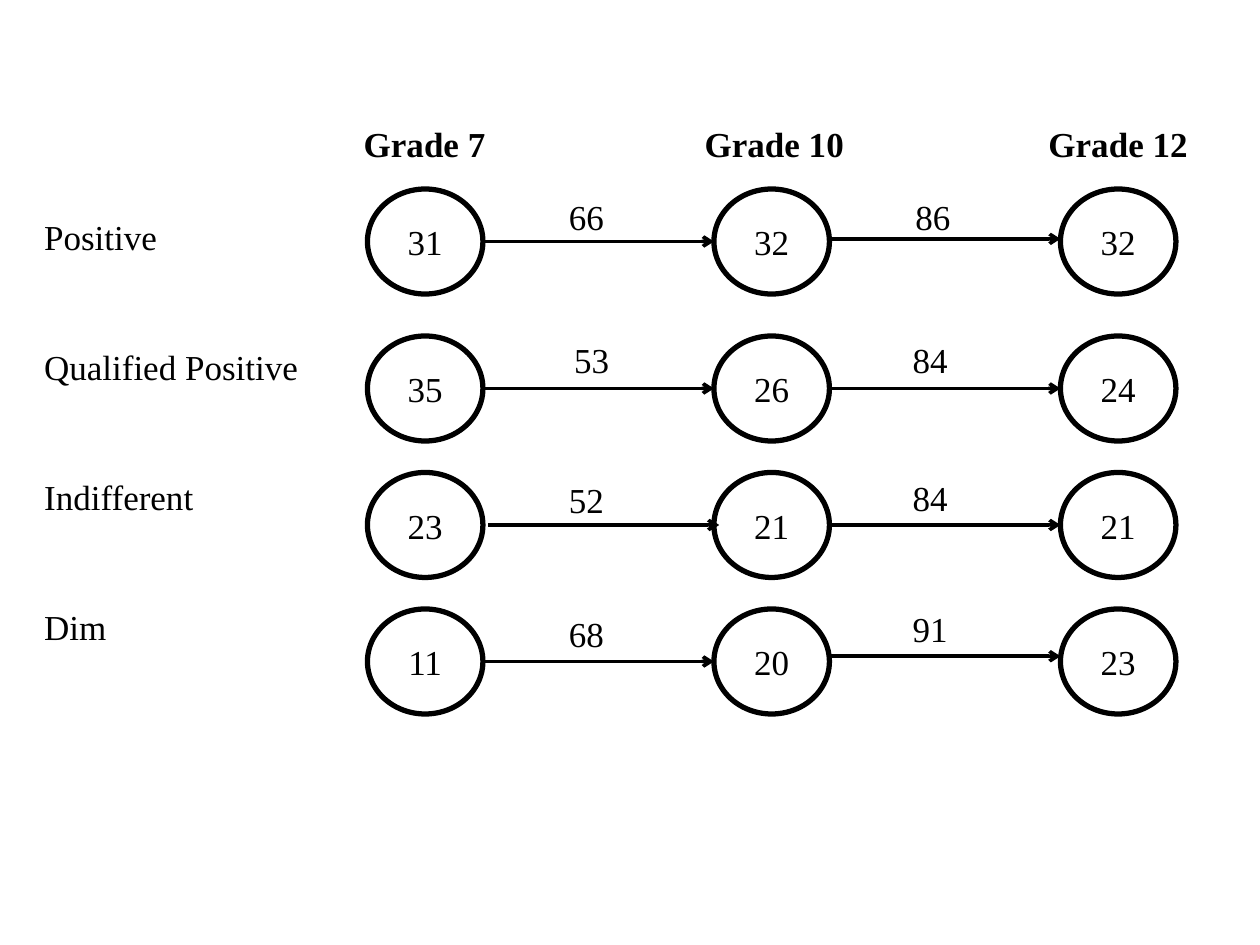
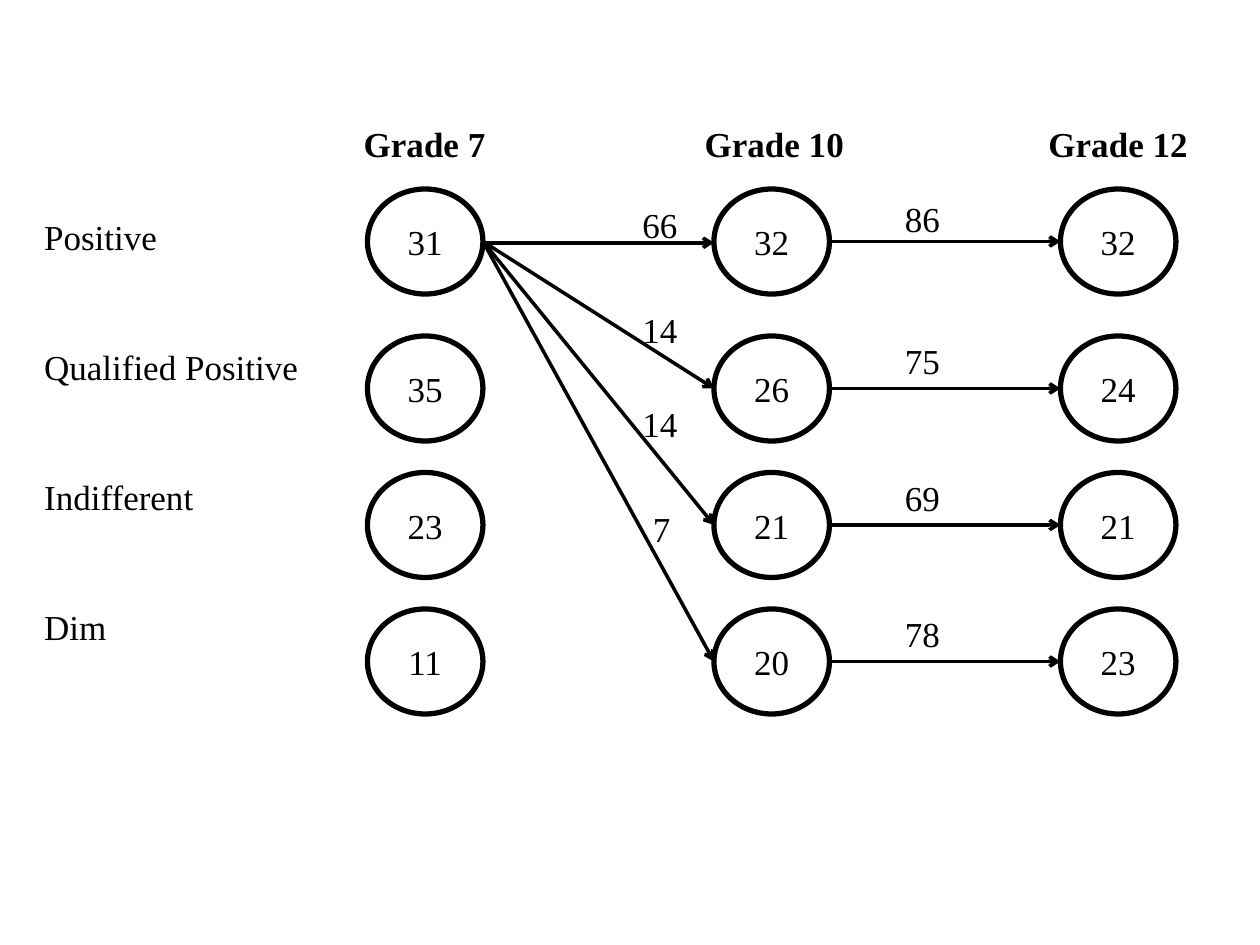
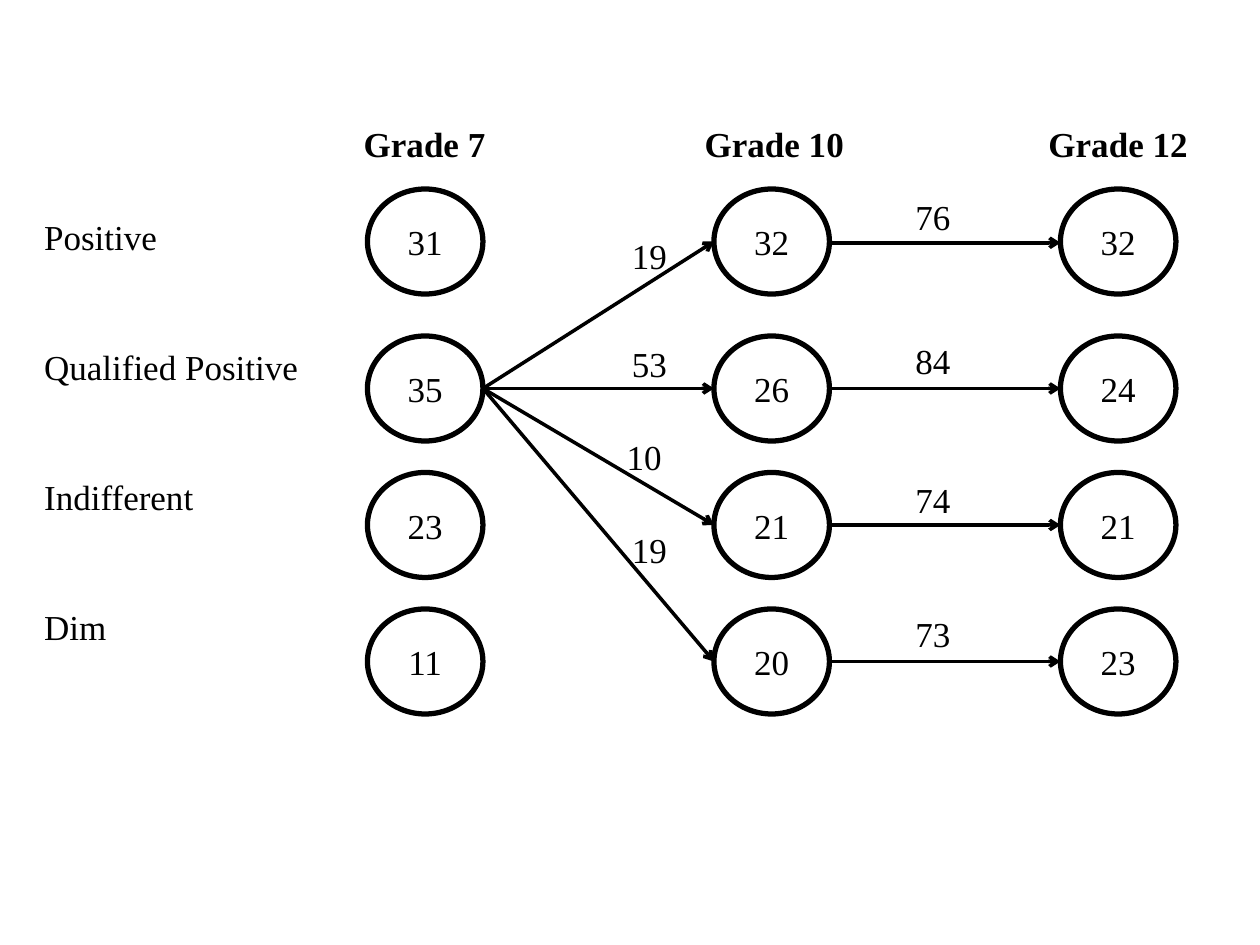
import pptx
import pptx.dml.color
import pptx.enum.shapes
import pptx.enum.text
import pptx.oxml.ns
import pptx.util
from lxml import etree

PX = 9525  # EMU per px, 96 px to the inch
INK = {"text": "000000", "line": "000000"}
FONT = "Times New Roman"
ALIGN = pptx.enum.text.PP_ALIGN

GRADES = ["Grade 7", "Grade 10", "Grade 12"]
GRADE_CELLS = [1, 3, 5]
LEVELS = ["Positive", "Qualified Positive", "Indifferent", "Dim"]
SHARES = [(31, 32, 32), (35, 26, 24), (23, 21, 21), (11, 20, 23)]

TABLE_AT = (24, 91)
COL_WIDTHS = [235, 129, 129, 146, 97, 184]
ROW_HEIGHTS = [40, 99, 99, 99, 127]
LABEL_DROP = 36

NODE_W, NODE_H = 88, 80
NODE_X = [280 + 264 * i for i in range(3)]
NODE_Y = [144, 256, 360, 464]

# Each link: grade column, from level, to level, percent, label x, label y,
# and optionally the arrow's shift right and down.
STABLE = [
    (0, 0, 0, 66, 424, 144), (1, 0, 0, 86, 688, 144, 0, -2),
    (0, 1, 1, 53, 428, 253), (1, 1, 1, 84, 686, 253),
    (0, 2, 2, 52, 424, 360, 4), (1, 2, 2, 84, 686, 358),
    (0, 3, 3, 68, 424, 462), (1, 3, 3, 91, 686, 458, 0, -4),
]
FROM_POSITIVE = [
    (0, 0, 0, 66, 480, 150, 0, 1), (0, 0, 1, 14, 480, 230),
    (0, 0, 2, 14, 480, 302), (0, 0, 3, 7, 488, 382),
    (1, 0, 0, 86, 680, 146), (1, 1, 1, 75, 680, 254),
    (1, 2, 2, 69, 680, 358), (1, 3, 3, 78, 680, 462),
]
FROM_QUALIFIED = [
    (0, 1, 0, 19, 472, 174), (0, 1, 1, 53, 472, 256),
    (0, 1, 2, 10, 468, 327), (0, 1, 3, 19, 472, 398),
    (1, 0, 0, 76, 688, 144, 0, 1), (1, 1, 1, 84, 688, 254),
    (1, 2, 2, 74, 688, 360), (1, 3, 3, 73, 688, 462),
]


def emu(*sizes):
    return [size * PX for size in sizes]


def tint(name):
    return pptx.dml.color.RGBColor.from_string(INK[name])


def write(frame, text, size=20, bold=False, align=ALIGN.LEFT):
    para = frame.paragraphs[0]
    para.alignment = align
    run = para.add_run()
    run.text = str(text)
    run.font.name = FONT
    run.font.size = pptx.util.Pt(size)
    run.font.bold = bold
    run.font.color.rgb = tint("text")


class Deck:
    """Holds the presentation, its style and the current slide."""

    def __init__(self):
        self.show = pptx.Presentation()
        self.show.slide_width, self.show.slide_height = emu(960, 720)

    def page(self):
        self.slide = self.show.slides.add_slide(self.show.slide_layouts[6])
        self.shapes = self.slide.shapes

    def stroke(self, line, width):
        line.color.rgb = tint("line")
        line.width = pptx.util.Pt(width)

    def grid(self):
        """Add the table of grade headings and level names."""
        area = emu(*TABLE_AT, sum(COL_WIDTHS), sum(ROW_HEIGHTS))
        table = self.shapes.add_table(len(ROW_HEIGHTS), len(COL_WIDTHS), *area).table
        table.first_row = table.horz_banding = False
        for col, width in zip(table.columns, COL_WIDTHS):
            col.width = width * PX
        for row, height in zip(table.rows, ROW_HEIGHTS):
            row.height = height * PX
        for cell in table.iter_cells():
            cell.fill.background()
        for col, grade in zip(GRADE_CELLS, GRADES):
            write(table.cell(0, col).text_frame, grade, bold=True, align=ALIGN.CENTER)
        for row, level in enumerate(LEVELS, 1):
            cell = table.cell(row, 0)
            cell.margin_top = LABEL_DROP * PX
            write(cell.text_frame, level)

    def node(self, x, y, text):
        oval = self.shapes.add_shape(
            pptx.enum.shapes.MSO_SHAPE.OVAL, *emu(x, y, NODE_W, NODE_H))
        oval.shadow.inherit = False
        oval.fill.background()
        self.stroke(oval.line, 3)
        oval.text_frame.vertical_anchor = pptx.enum.text.MSO_ANCHOR.MIDDLE
        write(oval.text_frame, text, align=ALIGN.CENTER)

    def arrow(self, x1, y1, x2, y2):
        line = self.shapes.add_connector(
            pptx.enum.shapes.MSO_CONNECTOR.STRAIGHT, *emu(x1, y1, x2, y2))
        self.stroke(line.line, 2)
        qn = pptx.oxml.ns.qn
        props = line._element.spPr
        etree.SubElement(props.find(qn("a:ln")), qn("a:tailEnd"), type="arrow")
        etree.SubElement(props, qn("a:effectLst"))

    def label(self, x, y, text):
        frame = self.shapes.add_textbox(*emu(x, y, 56, 42)).text_frame
        frame.word_wrap = True
        frame.auto_size = pptx.enum.text.MSO_AUTO_SIZE.SHAPE_TO_FIT_TEXT
        write(frame, text)

    def link(self, col, start, end, share, x, y, right=0, down=0):
        """Join two nodes of neighbouring grades and label the arrow."""
        mid = NODE_H // 2 + down
        self.arrow(NODE_X[col] + NODE_W + right, NODE_Y[start] + mid,
                   NODE_X[col + 1] + right, NODE_Y[end] + mid)
        self.label(x, y, share)


def main():
    deck = Deck()
    for links in (STABLE, FROM_POSITIVE, FROM_QUALIFIED):
        deck.page()
        deck.grid()
        for y, shares in zip(NODE_Y, SHARES):
            for x, share in zip(NODE_X, shares):
                deck.node(x, y, share)
        for link in links:
            deck.link(*link)
    deck.show.save("out.pptx")


if __name__ == "__main__":
    main()
